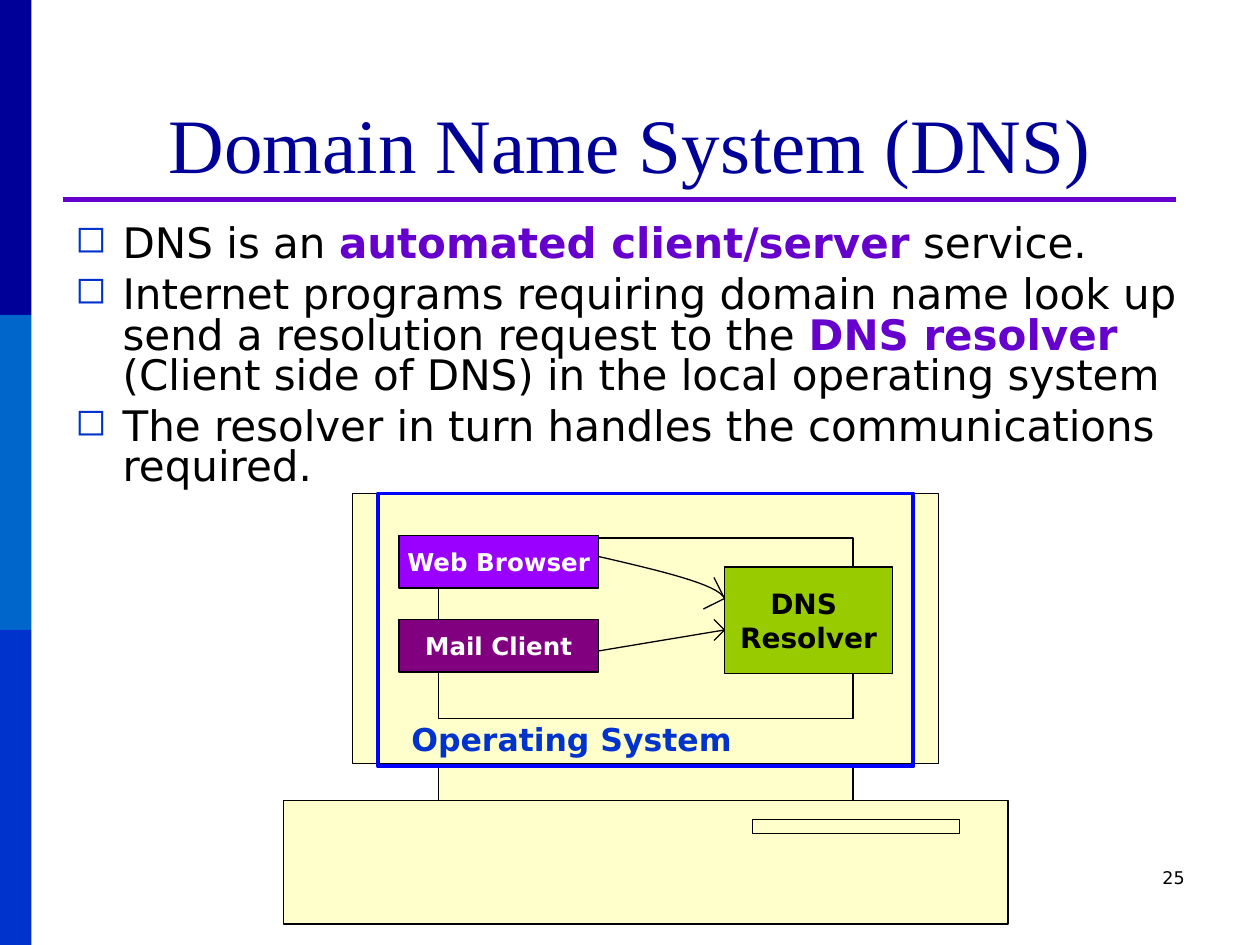
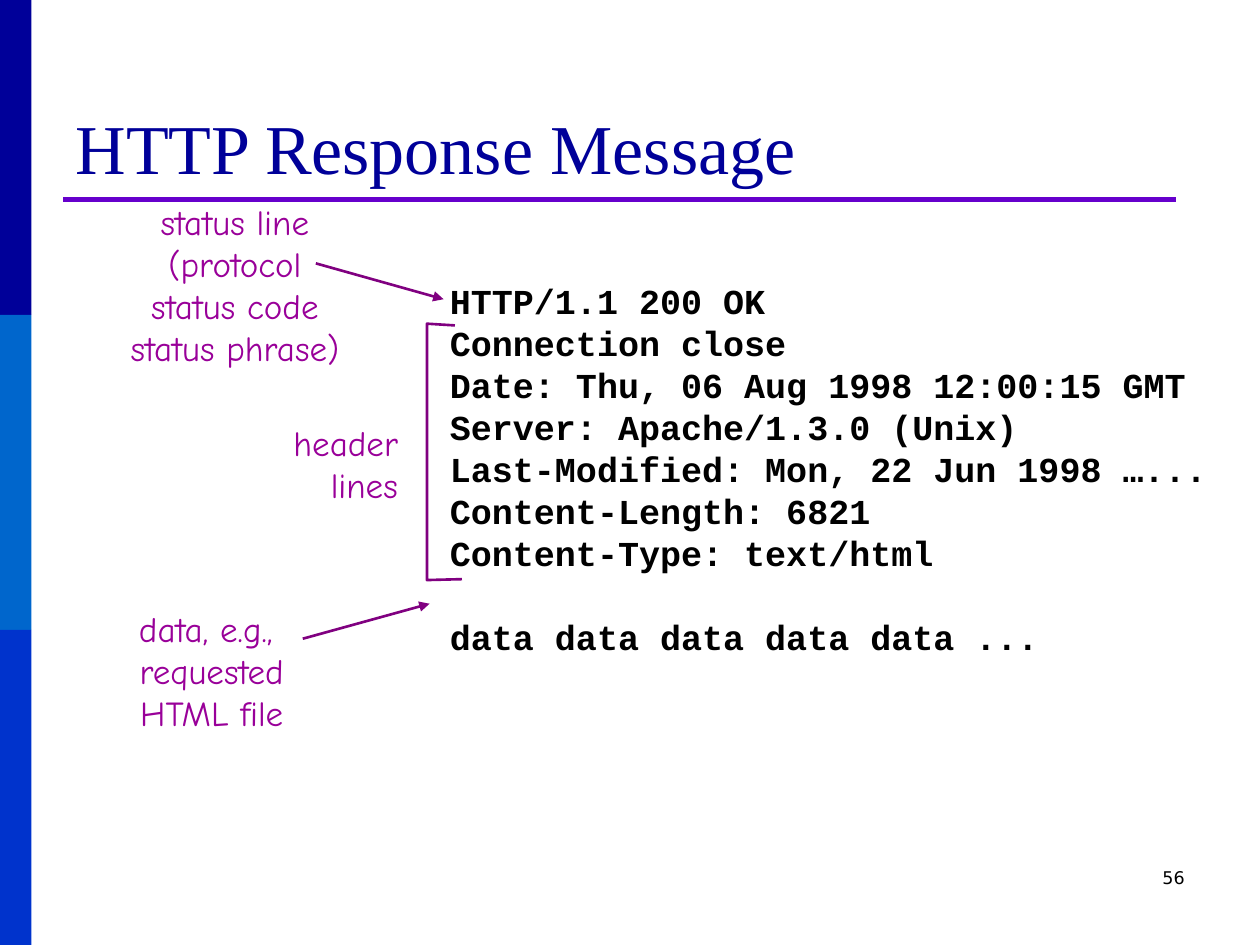
from lxml.etree import SubElement
from pptx import Presentation
from pptx.dml.color import RGBColor
from pptx.enum.shapes import MSO_CONNECTOR as Connector, MSO_SHAPE as Preset
from pptx.enum.text import MSO_ANCHOR as Anchor, PP_ALIGN as Align
from pptx.oxml.ns import qn
from pptx.util import Pt

# Shared colours and fonts
NAVY, BLUE, ROYAL = "000099", "0066CC", "0033CC"
VIOLET, PURPLE, MAGENTA = "6600CC", "800080", "990099"
BLACK, WHITE, CREAM = "000000", "FFFFFF", "FFFFCC"
SANS = "DejaVu Sans"
TITLE_FORMAT = {"name": "Times New Roman"}
BODY_FORMAT = {"name": SANS, "size": Pt(24)}
NUMBER_FORMAT = {"name": SANS, "size": Pt(10)}
NOTE_FORMAT = {"name": "Comic Neue", "size": Pt(20)}
CODE_FORMAT = {"name": "Courier New", "size": Pt(20), "bold": True}


def color(hex_string):
    return RGBColor.from_string(hex_string)


def points(values):
    return [Pt(value) for value in values]


# Text
def add_run(paragraph, text, font_format, text_color):
    run = paragraph.add_run()
    run.text = text
    for name, value in font_format.items():
        setattr(run.font, name, value)
    run.font.color.rgb = color(text_color)


def write_lines(frame, lines, font_format, text_color, align=Align.LEFT):
    for index, line in enumerate(lines):
        paragraph = frame.paragraphs[0] if index == 0 else frame.add_paragraph()
        paragraph.alignment = align
        add_run(paragraph, line, font_format, text_color)


def add_text(slide, box, lines, font_format, text_color, align=Align.LEFT, wrap=False):
    frame = slide.shapes.add_textbox(*points(box)).text_frame
    frame.word_wrap = wrap
    write_lines(frame, lines, font_format, text_color, align)
    return frame


def add_bullets(slide, box, items):
    """Each item is a list of (text, is_key_term) pairs."""
    frame = slide.shapes.add_textbox(*points(box)).text_frame
    frame.word_wrap = True
    for index, item in enumerate(items):
        paragraph = frame.paragraphs[0] if index == 0 else frame.add_paragraph()
        paragraph.line_spacing = 0.8
        paragraph.space_before = Pt(6 if index else 0)
        properties = paragraph._p.get_or_add_pPr()
        properties.set("marL", str(Pt(27)))
        properties.set("indent", str(-Pt(27)))
        bullet_color = SubElement(properties, qn("a:buClr"))
        SubElement(bullet_color, qn("a:srgbClr"), val=ROYAL)
        SubElement(properties, qn("a:buSzPct"), val="90000")
        SubElement(properties, qn("a:buChar"), char="◻")
        for text, is_key_term in item:
            add_run(paragraph, text, {**BODY_FORMAT, "bold": is_key_term},
                    VIOLET if is_key_term else BLACK)


# Shapes and lines
def style_shape(shape, fill=None, line=None, width=0.75):
    shape.shadow.inherit = False
    if fill:
        shape.fill.solid()
        shape.fill.fore_color.rgb = color(fill)
    else:
        shape.fill.background()
    if line:
        shape.line.color.rgb = color(line)
        shape.line.width = Pt(width)
    else:
        shape.line.fill.background()


def add_box(slide, box, fill=None, line=BLACK, width=0.75):
    shape = slide.shapes.add_shape(Preset.RECTANGLE, *points(box))
    style_shape(shape, fill, line, width)
    return shape


def add_program(slide, box, fill, lines, size, text_color=WHITE):
    frame = add_box(slide, box, fill).text_frame
    frame.word_wrap = False
    frame.vertical_anchor = Anchor.MIDDLE
    font_format = {"name": SANS, "size": Pt(size), "bold": True}
    write_lines(frame, lines, font_format, text_color, Align.CENTER)


def add_line(slide, start, end, line=BLACK, width=0.75, arrow=False):
    connector = slide.shapes.add_connector(Connector.STRAIGHT, *points(start + end))
    connector.line.color.rgb = color(line)
    connector.line.width = Pt(width)
    if arrow:
        SubElement(connector.line._get_or_add_ln(), qn("a:tailEnd"), type="triangle")
    SubElement(connector._element.spPr, qn("a:effectLst"))


def add_outline(slide, vertices, fill=None, line=BLACK, width=0.75, close=False):
    start, *others = [points(vertex) for vertex in vertices]
    builder = slide.shapes.build_freeform(*start)
    builder.add_line_segments(others, close=close)
    style_shape(builder.convert_to_shape(), fill, line, width)


def add_curve(slide, controls, steps=16):
    """Draw a cubic Bezier curve through evenly spaced parameter values."""
    vertices = []
    for step in range(steps + 1):
        t = step / steps
        weights = ((1 - t) ** 3, 3 * t * (1 - t) ** 2, 3 * t * t * (1 - t), t ** 3)
        vertices.append([sum(weight * value for weight, value in zip(weights, axis))
                         for axis in zip(*controls)])
    add_outline(slide, vertices)


# What both slides share
def add_base_slide(presentation, title, size, align, number):
    slide = presentation.slides.add_slide(presentation.slide_layouts[5])
    for index, fill in enumerate((NAVY, BLUE, ROYAL)):
        add_box(slide, (0, 180 * index, 18, 180), fill, line=None)
    add_line(slide, (36, 114), (672, 114), VIOLET, 3)
    heading = slide.shapes.title
    heading.left, heading.top, heading.width, heading.height = points((36, 21.6, 648, 90))
    heading.text_frame.vertical_anchor = Anchor.BOTTOM
    write_lines(heading.text_frame, [title], {**TITLE_FORMAT, "size": Pt(size)}, NAVY, align)
    add_text(slide, (516, 492, 168, 36), [number], NUMBER_FORMAT, BLACK, Align.RIGHT, True)
    return slide


def add_computer(slide):
    # The outline is symmetric about its centre line
    center = 369
    right_half = [(207, 528), (207, 457.5), (118.5, 457.5), (118.5, 436.5),
                  (167.5, 436.5), (167.5, 282)]
    vertices = [(center + offset, y) for offset, y in right_half]
    vertices += [(center - offset, y) for offset, y in reversed(right_half)]
    add_outline(slide, vertices, CREAM, close=True)
    stand, screen, drive = (250.5, 436.5, 237, 21), (250.5, 307.5, 237, 103), (430, 468.5, 118.5, 8)
    for part in (stand, screen, drive):
        add_box(slide, part)


def build_dns_slide(presentation):
    slide = add_base_slide(presentation, "Domain Name System (DNS)", 44, Align.CENTER, "25")
    add_bullets(slide, (36, 126, 654, 162), [
        [("DNS is an ", False), ("automated client/server", True), (" service.", False)],
        [("Internet programs requiring domain name look up send a resolution request to the ",
          False), ("DNS resolver", True),
         (" (Client side of DNS) in the local operating system", False)],
        [("The resolver in turn handles the communications required.", False)],
    ])
    add_computer(slide)

    # Operating system and its programs
    add_box(slide, (216, 282, 306, 156), line="0000FF", width=2.25)
    add_text(slide, (228, 408, 210, 29), ["Operating System"],
             {"name": SANS, "size": Pt(18), "bold": True}, ROYAL, wrap=True)
    add_program(slide, (228, 306, 114, 30), "9900FF", ["Web Browser"], 14)
    add_program(slide, (228, 354, 114, 30), PURPLE, ["Mail Client"], 14)
    add_program(slide, (414, 324, 96, 61), "99CC00", ["DNS ", "Resolver"], 16, BLACK)

    # Requests to the resolver, with open arrowheads
    browser_tip, mail_tip = (414, 342), (414, 360)
    add_curve(slide, [(342, 318), (376.5, 326), (411, 334), browser_tip])
    add_curve(slide, [(342, 372), (342, 372), (378, 366), mail_tip])
    for barb, tip in (((408, 330), browser_tip), ((402, 348), browser_tip),
                      ((408, 354), mail_tip), ((408, 366), mail_tip)):
        add_line(slide, barb, tip)


def build_http_slide(presentation):
    slide = add_base_slide(presentation, "HTTP Response Message", 40, Align.LEFT, "56")
    message = add_text(slide, (250, 156, 459, 223), [
        "HTTP/1.1 200 OK",
        "Connection close",
        "Date: Thu, 06 Aug 1998 12:00:15 GMT",
        "Server: Apache/1.3.0 (Unix)",
        "Last-Modified: Mon, 22 Jun 1998 …...",
        "Content-Length: 6821",
        "Content-Type: text/html",
        "data data data data data ...",
    ], CODE_FORMAT, BLACK)
    message.paragraphs[-1].space_before = Pt(24)

    # Notes on the parts of the message
    for box, lines, align in (
        ((67, 111, 134.5, 104), ["status line", "(protocol", "status code", "status phrase)"],
         Align.CENTER),
        ((160.5, 237.5, 74, 55.5), ["header", "lines"], Align.RIGHT),
        ((72, 343.5, 98, 79), ["data, e.g., ", "requested", "HTML file"], Align.CENTER),
    ):
        add_text(slide, box, lines, NOTE_FORMAT, MAGENTA, align)

    # Arrows and the header bracket
    add_line(slide, (180.5, 150.5), (253.5, 171), PURPLE, 1.5, arrow=True)
    add_line(slide, (173, 365), (245.5, 345), PURPLE, 1.5, arrow=True)
    add_outline(slide, [(260, 186), (244, 185), (244, 331.5), (264, 331)], line=PURPLE, width=1.5)


def main():
    presentation = Presentation()
    presentation.slide_width, presentation.slide_height = Pt(720), Pt(540)
    build_dns_slide(presentation)
    build_http_slide(presentation)
    presentation.save("out.pptx")


if __name__ == "__main__":
    main()
